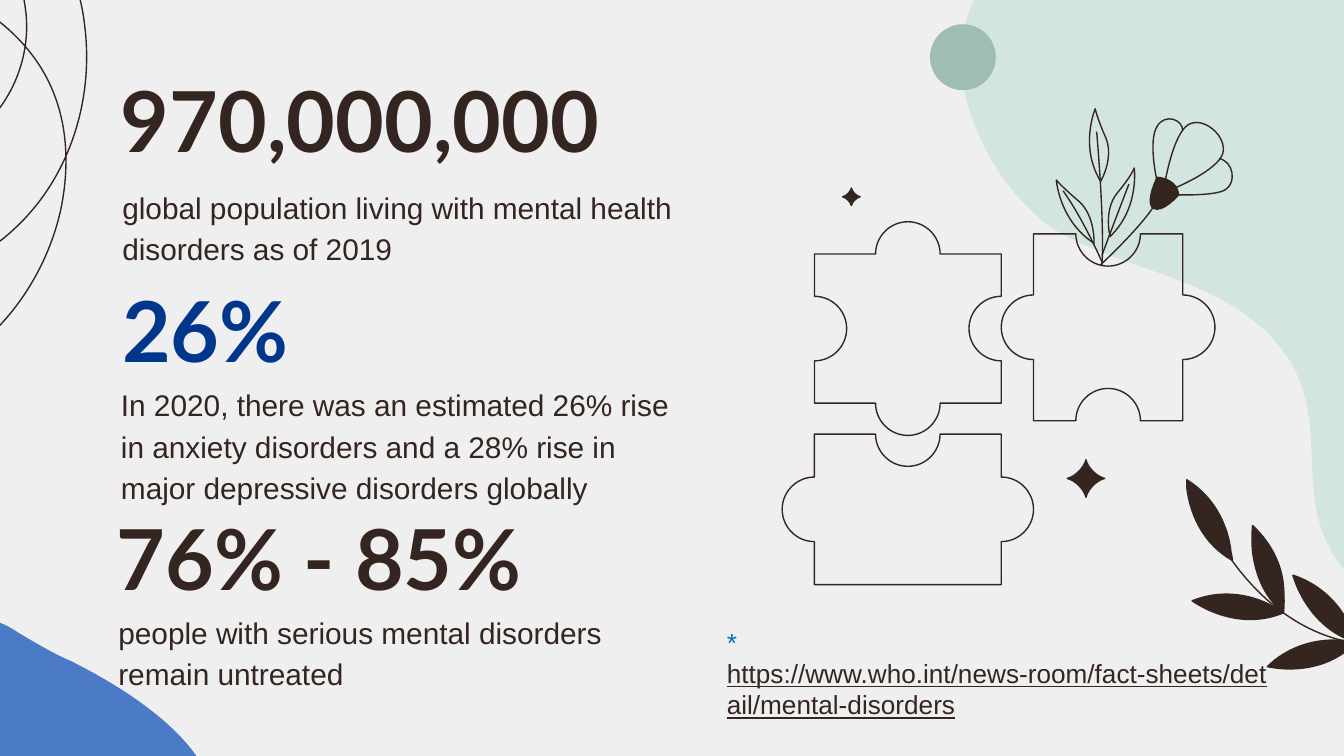
from lxml.etree import SubElement
from pptx import Presentation
from pptx.dml.color import RGBColor
from pptx.enum.shapes import MSO_SHAPE as Preset
from pptx.enum.text import MSO_ANCHOR as Anchor, MSO_AUTO_SIZE as AutoSize, PP_ALIGN as Align
from pptx.oxml.ns import qn
from pptx.util import Pt

COLORS = {
    "paper": "EFEFEF", "ink": "342520", "navy": "00368C", "link": "0070C0",
    "blue": "4B7BC6", "mint": "D2E5DF", "sage": "9EBDB3",
}

# number, its colour, (left, top); caption, (left, top), all in points
STATS = [
    ("970,000,000", "ink", (57.6, 37.4),
     "global population living with mental health disorders as of 2019", (58.3, 91.4)),
    ("26%", "navy", (58.3, 149.8),
     "In 2020, there was an estimated 26% rise in anxiety disorders and a 28% rise in "
     "major depressive disorders globally", (57.6, 197.3)),
    ("76% - 85%", "ink", (55.4, 272.2),
     "people with serious mental disorders remain untreated", (56.2, 319)),
]
SOURCE = [
    ("* ", "link", False),
    ("https://www.who.int/news-room/fact-sheets/detail/mental-disorders", "ink", True),
]

# Drawings use a grid of 0.72 points. A curve is a start point followed by
# cubic triplets (control, control, end).
UNIT = Pt(0.72)
KNOB = 24
ARC = 0.55  # control distance that rounds a quarter circle

BLUE_BLOB = (
    -27, 458, -56, 458, -92, 478, -124, 552, -169, 654, -92, 710, -4, 710,
    43, 710, 94, 694, 131, 660, 213, 584, 105, 518, 53, 492,
    39, 486, 26, 478, 14, 471, 4, 464, -10, 458, -27, 458)
LOOPS = (
    -260, 40, -225, -22, -173, -83, -103, -93, -78, -96, -52, -93, -27, -86,
    -6, -79, 15, -70, 31, -54, 50, -35, 60, -8, 63, 19, 70, 74, 52, 132, 11, 170,
    -29, 208, -92, 222, -143, 202, -195, 181, -231, 125, -224, 70,
    -219, 25, -188, -14, -150, -39, -128, -54, -102, -65, -75, -67,
    -47, -69, -19, -59, -1, -39, 10, -26, 17, -10, 19, 7, 25, 51, -1, 99, -44, 112,
    -86, 126, -138, 99, -148, 55, -152, 35, -147, 11, -131, -3,
    -115, -17, -89, -20, -73, -6, -52, 10, -54, 44, -70, 64,
    -86, 85, -112, 95, -138, 101, -164, 106, -190, 109, -214, 119,
    -239, 129, -261, 149, -264, 175, -268, 205, -247, 232, -222, 251,
    -178, 284, -117, 301, -64, 283, -9, 266, 32, 214, 45, 157, 51, 129, 51, 99, 41, 72,
    29, 39, 2, 13, -30, -2, -61, -17, -98, -21, -132, -16,
    -184, -10, -234, 15, -268, 55, -302, 95, -318, 150, -308, 201,
    -297, 253, -259, 298, -209, 314)
MINT_BLOB = (
    725, 0, 718, 13, 715, 28, 715, 43, 715, 71, 726, 100, 740, 123,
    752, 142, 767, 159, 785, 171, 804, 182, 824, 190, 845, 197,
    888, 212, 935, 228, 960, 269, 973, 291, 975, 315, 976, 339,
    977, 362, 978, 387, 989, 407, 992, 413, 996, 419, 1000, 424,
    1000, 424, 1000, 0, 1000, 0, 1000, 0, 725, 0, 725, 0)

# left, top, right, bottom; sides top, right, bottom, left: 1 knob, -1 notch, 0 flat
PIECES = [
    ((606, 323, 745, 435), (-1, 1, 0, 1)),
    ((606, 189, 745, 300), (1, -1, 1, -1)),
    ((769, 174, 880, 313), (-1, 1, -1, 1)),
]
SPARKLES = [(808, 356, 14), (633.5, 146.5, 6.5)]

# fill, curve
FLOWERS = [
    (None, (874, 140, 874, 140, 906, 127, 910, 114, 913, 101, 895, 86, 884, 93,
            873, 100, 867, 135, 867, 135)),
    (None, (875, 145, 875, 145, 905, 146, 912, 141, 920, 136, 918, 120, 907, 118)),
    (None, (861, 135, 861, 135, 854, 105, 861, 94, 867, 84, 880, 89, 880, 97)),
    (None, (819, 197, 836, 181, 854, 162, 860, 151)),
    ("ink", (875, 139, 876, 141, 877, 143, 877, 145, 877, 145, 865, 159, 858, 155,
             857, 154, 857, 154, 857, 154, 853, 148, 861, 132, 861, 132,
             861, 132, 870, 132, 875, 139)),
    (None, (819, 135, 819, 135, 829, 118, 823, 103, 816, 87, 815, 81, 815, 81,
            815, 81, 803, 109, 819, 135)),
    (None, (814, 181, 814, 181, 815, 161, 803, 150, 790, 139, 786, 134, 786, 134,
            786, 134, 788, 164, 814, 181)),
    (None, (826, 176, 826, 176, 821, 157, 831, 144, 842, 131, 844, 125, 844, 125,
            844, 125, 848, 155, 826, 176)),
    (None, (816, 98, 816, 98, 822, 164, 820, 198)),
    (None, (840, 137, 840, 137, 822, 184, 820, 190)),
    (None, (820, 195, 820, 195, 806, 163, 791, 142)),
]
BRANCH = [
    (None, (1032, 479, 1032, 479, 957, 492, 902, 394)),
    ("ink", (883, 362, 884, 373, 890, 402, 917, 417, 917, 417, 917, 415, 916, 411,
             915, 400, 909, 373, 883, 357, 883, 357, 883, 359, 883, 362)),
    ("ink", (932, 411, 934, 425, 939, 443, 955, 456, 955, 456, 956, 448, 955, 436,
             954, 423, 948, 406, 932, 391, 932, 391, 931, 400, 932, 411)),
    ("ink", (887, 447, 887, 447, 919, 471, 955, 456, 955, 456, 925, 432, 887, 447)),
    ("ink", (962, 428, 962, 428, 972, 467, 1009, 478, 1009, 478, 1001, 441, 962, 428)),
    ("ink", (943, 496, 943, 496, 982, 506, 1009, 478, 1009, 478, 972, 468, 943, 496)),
]


def color(name):
    return RGBColor.from_string(COLORS[name])


def pairs(curve):
    return list(zip(curve[::2], curve[1::2]))


def piece_knots(bounds, sides):
    """Walk clockwise round a puzzle piece, with a half circle mid-side."""
    left, top, right, bottom = bounds
    corners = [(left, top), (right, top), (right, bottom), (left, bottom)]
    half_circle = [(-1, 0), (-1, ARC), (-ARC, 1), (0, 1), (ARC, 1), (1, ARC), (1, 0)]
    knots = [corners[0]]
    for i, bulge in enumerate(sides):
        (x, y), end = corners[i], corners[(i + 1) % 4]
        middle_x, middle_y = (x + end[0]) / 2, (y + end[1]) / 2
        along_x, along_y = ((1, 0), (0, 1), (-1, 0), (0, -1))[i]
        if bulge:
            arc = [(middle_x + KNOB * (run * along_x + bulge * rise * along_y),
                    middle_y + KNOB * (run * along_y - bulge * rise * along_x))
                   for run, rise in half_circle]
            knots += [knots[-1], arc[0], *arc]
        knots += [knots[-1], end, end]
    return knots


def sparkle_knots(x, y, radius):
    knots = [(0, -1)]
    for _ in range(4):
        a, b = knots[-1]
        knots += [(0.57 * a + 0.1 * b, 0.57 * b - 0.1 * a),
                  (0.1 * a + 0.57 * b, 0.1 * b - 0.57 * a), (b, -a)]
    return [(x + a * radius, y + b * radius) for a, b in knots]


def draw(shapes, knots, fill=None, line="ink"):
    """Build a freeform, then turn each three straight segments into one cubic."""
    scaled = [(round(x * UNIT), round(y * UNIT)) for x, y in knots]
    builder = shapes.build_freeform(*scaled[0], scale=1.0)
    builder.add_line_segments(scaled[1:], close=scaled[0] == scaled[-1])
    shape = builder.convert_to_shape()
    segments = list(shape.element.iter(qn("a:lnTo")))
    for first, second, third in zip(segments[::3], segments[1::3], segments[2::3]):
        outline = first.getparent()
        cubic = SubElement(outline, qn("a:cubicBezTo"))
        outline.replace(first, cubic)
        for segment in (first, second, third):
            cubic.append(segment[0])
        outline.remove(second)
        outline.remove(third)
    style(shape, fill, line)


def style(shape, fill, line):
    shape.shadow.inherit = False
    if fill:
        shape.fill.solid()
        shape.fill.fore_color.rgb = color(fill)
    else:
        shape.fill.background()
    if line:
        shape.line.color.rgb = color(line)
        shape.line.width = Pt(0.75)
    else:
        shape.line.fill.background()


def write(box, place, size, anchor, spans, spacing=None):
    """Place a box and fill it; spans are (text, colour, size, font, bold, underline)."""
    box.left, box.top, box.width, box.height = (Pt(n) for n in place + size)
    box.element.getparent().append(box.element)  # bring to front
    frame = box.text_frame
    frame.word_wrap = True
    frame.auto_size = AutoSize.NONE
    frame.vertical_anchor = anchor
    frame.margin_left = frame.margin_right = Pt(7.2)
    frame.margin_top = frame.margin_bottom = Pt(7.2)
    para = frame.paragraphs[0]
    para.alignment = Align.LEFT
    para.space_before = Pt(0)
    if spacing:
        para.line_spacing = spacing
    properties = para._p.get_or_add_pPr()
    properties.set("marL", "0")
    properties.set("indent", "0")
    SubElement(properties, qn("a:buNone"))
    for text, ink, points, font, bold, underline in spans:
        span = para.add_run()
        span.text = text
        span.font.name, span.font.size = font, Pt(points)
        span.font.bold, span.font.underline = bold, underline
        span.font.color.rgb = color(ink)
    return frame


deck = Presentation()
deck.slide_width, deck.slide_height = Pt(720), Pt(405)
page = deck.slides.add_slide(deck.slide_layouts.get_by_name("Comparison"))
page.background.fill.solid()
page.background.fill.fore_color.rgb = color("paper")
title, *bodies, spare = page.placeholders
spare.element.getparent().remove(spare.element)

draw(page.shapes, pairs(BLUE_BLOB), "blue", None)
draw(page.shapes, pairs(LOOPS))
draw(page.shapes, pairs(MINT_BLOB), "mint", None)
dot = page.shapes.add_shape(Preset.OVAL, Pt(498.2), Pt(13), Pt(35.3), Pt(35.3))
style(dot, "sage", None)

for i, (number, ink, number_place, caption, caption_place) in enumerate(STATS):
    heading = page.shapes.add_textbox(0, 0, 0, 0) if i else title
    write(heading, number_place, (319.7, 60.5), Anchor.BOTTOM,
          [(number, ink, 45, "Lato", True, False)])
    write(bodies[i], caption_place, (319.7, 27.4), Anchor.TOP,
          [(caption, "ink", 16, "Arial", False, False)], 1.15)

puzzle = page.shapes.add_group_shape().shapes
for bounds, sides in PIECES:
    draw(puzzle, piece_knots(bounds, sides))
for sparkle in SPARKLES:
    draw(puzzle, sparkle_knots(*sparkle), "ink")
for plant in (FLOWERS, BRANCH):
    group = page.shapes.add_group_shape().shapes
    for fill, curve in plant:
        draw(group, pairs(curve), fill)

note = write(page.shapes.add_textbox(0, 0, 0, 0), (382.3, 331.9), (304.6, 41), Anchor.TOP,
             [(text, ink, 14, "Arial", False, underline) for text, ink, underline in SOURCE])
note.margin_top = note.margin_bottom = Pt(3.6)
note.auto_size = AutoSize.SHAPE_TO_FIT_TEXT

deck.save("out.pptx")
